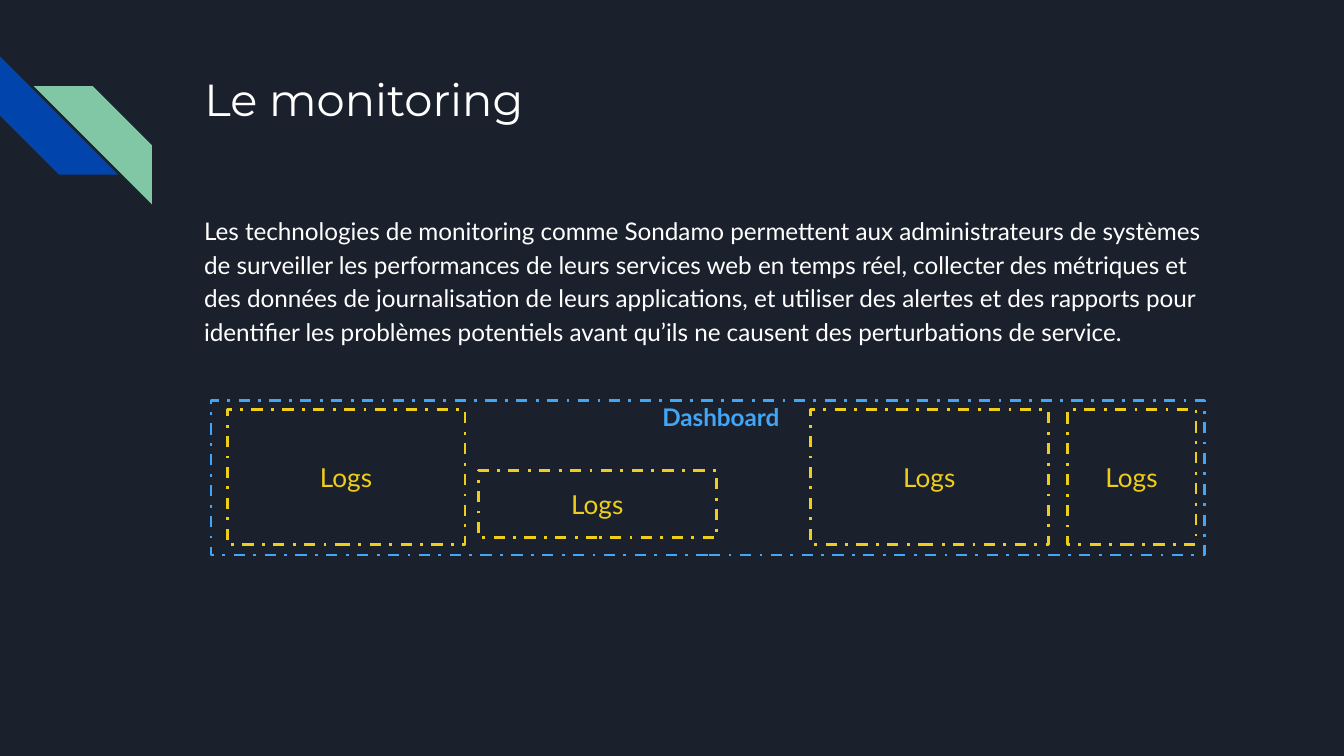
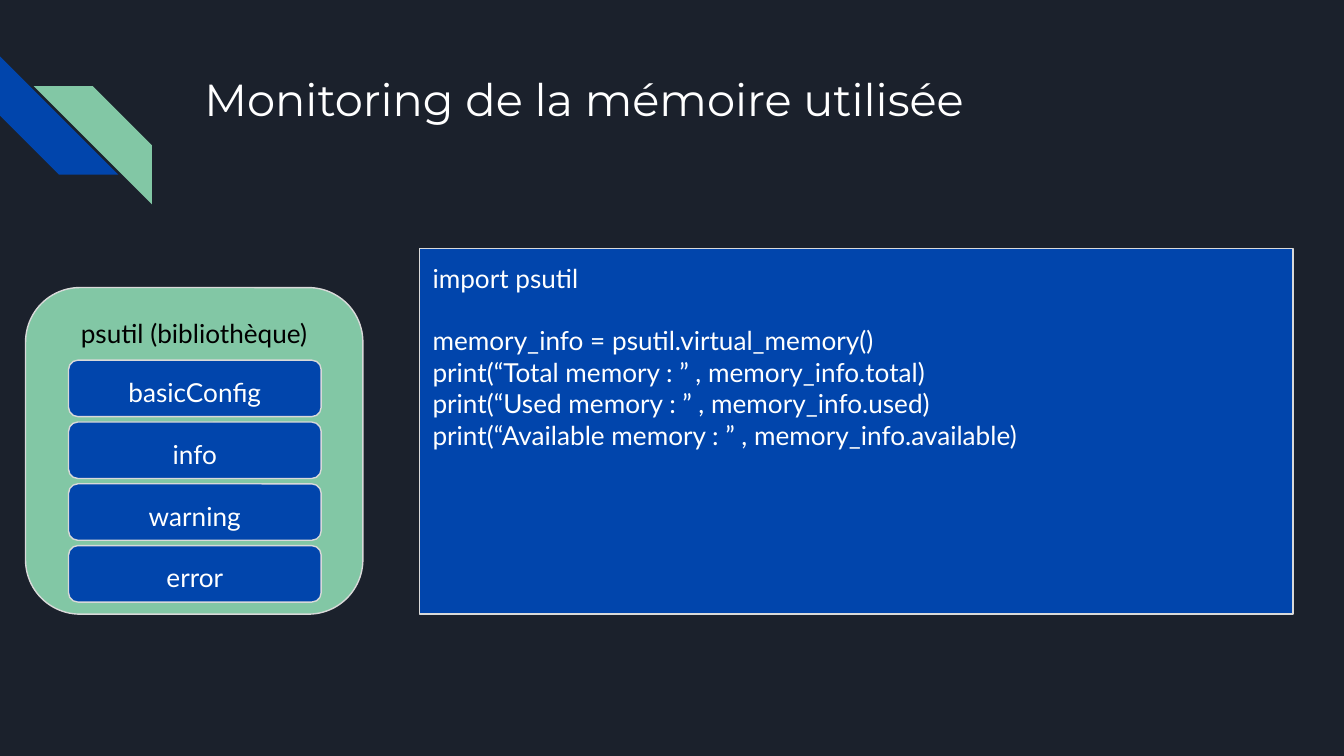
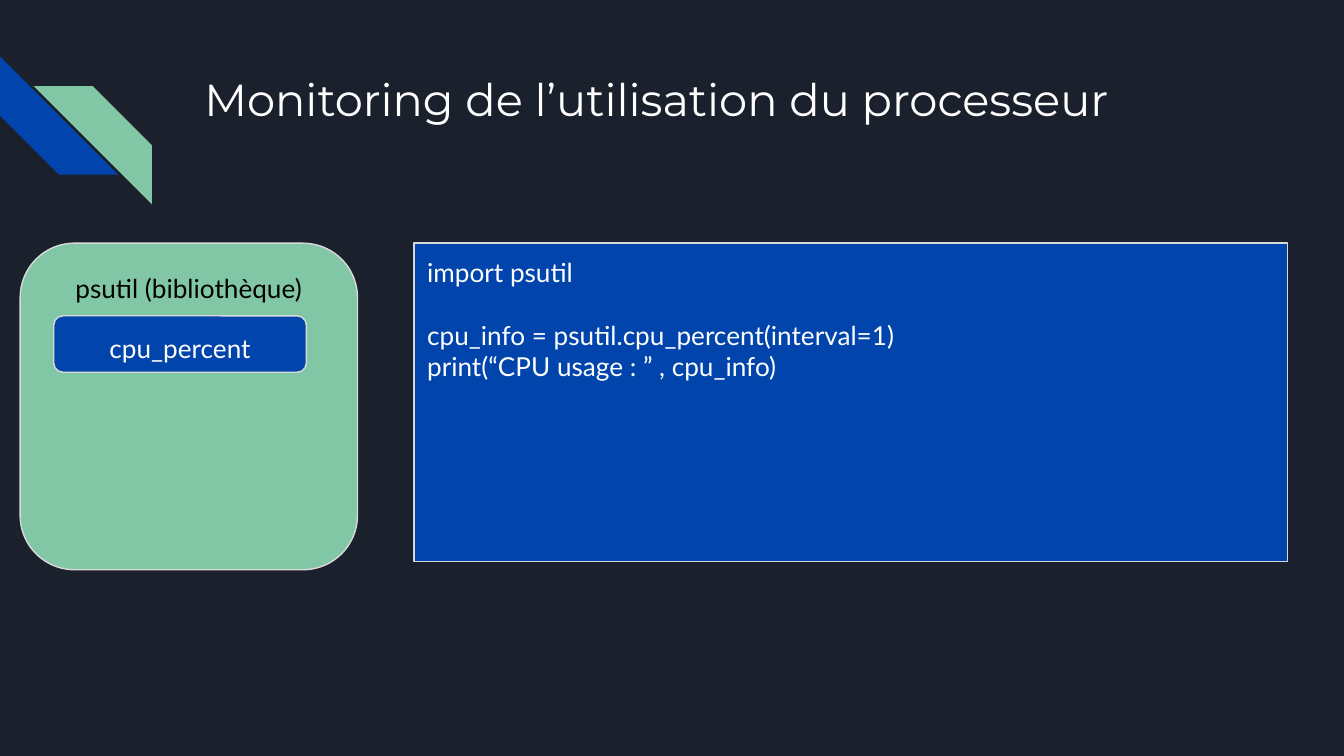
from dataclasses import dataclass

from pptx import Presentation
from pptx.dml.color import RGBColor
from pptx.enum.dml import MSO_LINE
from pptx.enum.shapes import MSO_SHAPE
from pptx.enum.text import MSO_ANCHOR, MSO_AUTO_SIZE, PP_ALIGN
from pptx.util import Inches, Pt


@dataclass(frozen=True)
class Theme:
    night: str = "1B212C"
    blue: str = "0145AC"
    green: str = "82C7A5"
    sky: str = "42A5F5"
    yellow: str = "EECE1A"
    border: str = "D9D9D9"
    white: str = "FFFFFF"
    black: str = "000000"
    heading_font: str = "Montserrat"
    text_font: str = "Lato"
    title_size: int = 24
    body_size: int = 13
    label_size: int = 14
    code_gap: float = 16.8  # one line of code at label size


THEME = Theme()


def color(code):
    return RGBColor.from_string(code)


# Text and shape helpers
def prepare_frame(frame, anchor=MSO_ANCHOR.TOP):
    frame.word_wrap = True
    frame.auto_size = MSO_AUTO_SIZE.NONE
    frame.vertical_anchor = anchor
    frame.margin_left = frame.margin_right = Inches(0.1)
    frame.margin_top = frame.margin_bottom = Inches(0.1)


def write(paragraph, text, size, ink, font=THEME.text_font, bold=False,
          align=PP_ALIGN.LEFT):
    paragraph.alignment = align
    run = paragraph.add_run()
    run.text = text
    run.font.name = font
    run.font.size = Pt(size)
    run.font.bold = bold
    run.font.color.rgb = color(ink)


def add_panel(slide, kind, box, fill=None, line=None, width=0.75, dash=None):
    panel = slide.shapes.add_shape(kind, *map(Inches, box))
    panel.shadow.inherit = False
    if fill:
        panel.fill.solid()
        panel.fill.fore_color.rgb = color(fill)
    else:
        panel.fill.background()
    if line:
        panel.line.color.rgb = color(line)
        panel.line.width = Pt(width)
        panel.line.dash_style = dash
    else:
        panel.line.fill.background()
    prepare_frame(panel.text_frame)
    return panel


def add_text(slide, box):
    frame = slide.shapes.add_textbox(*map(Inches, box)).text_frame
    prepare_frame(frame)
    return frame.paragraphs[0]


# Shared look: dark background and corner stripes, kept on the layout
def decorate_layout(layout, slide):
    layout.background.fill.solid()
    layout.background.fill.fore_color.rgb = color(THEME.night)
    blue_stripe = add_panel(slide, MSO_SHAPE.DIAGONAL_STRIPE,
                            (0, 0.42, 0.88, 0.88), THEME.blue)
    blue_stripe.rotation = 270
    green_stripe = add_panel(slide, MSO_SHAPE.DIAGONAL_STRIPE,
                             (0.25, 0.64, 0.88, 0.88), THEME.green)
    green_stripe.element.spPr.xfrm.set("flipH", "1")
    for stripe in (blue_stripe, green_stripe):
        layout.element.cSld.spTree.append(stripe.element)


def add_titled_slide(deck, layout, heading):
    slide = deck.slides.add_slide(layout)
    title = slide.shapes.title
    title.left, title.top = Inches(1.42), Inches(0.43)
    title.width, title.height = Inches(7.7), Inches(1)
    prepare_frame(title.text_frame)
    write(title.text_frame.paragraphs[0], heading, THEME.title_size,
          THEME.white, THEME.heading_font)
    return slide


# Regions
def add_introduction(slide, box, text):
    introduction = add_text(slide, box)
    introduction.line_spacing = 1.15
    introduction.space_after = Pt(12)
    write(introduction, text, THEME.body_size, THEME.white)


def add_dashboard(slide, box, log_boxes):
    left, top, _, _ = box
    add_panel(slide, MSO_SHAPE.RECTANGLE, box, line=THEME.sky, width=1.5,
              dash=MSO_LINE.DASH_DOT)
    label = add_text(slide, (left + 3.26, top - 0.09, 1.14, 0.31))
    write(label, "Dashboard", THEME.body_size, THEME.sky, bold=True)
    for dx, dy, width, height in log_boxes:
        logs = add_panel(slide, MSO_SHAPE.RECTANGLE,
                         (left + dx, top + dy, width, height),
                         line=THEME.yellow, width=1.5, dash=MSO_LINE.DASH_DOT)
        logs.text_frame.vertical_anchor = MSO_ANCHOR.MIDDLE
        write(logs.text_frame.paragraphs[0], "Logs", THEME.label_size,
              THEME.yellow, align=PP_ALIGN.CENTER)


def add_library(slide, box, name, functions, indent):
    left, top, _, _ = box
    row_pitch = 0.46
    entries = [(name, box, THEME.green, THEME.black)]
    for row, function in enumerate(functions):
        row_box = (left + indent, top + 0.54 + row * row_pitch, 1.88, 0.42)
        entries.append((function, row_box, THEME.blue, THEME.white))
    for text, entry_box, fill, ink in entries:
        entry = add_panel(slide, MSO_SHAPE.ROUNDED_RECTANGLE, entry_box,
                          fill, THEME.border)
        write(entry.text_frame.paragraphs[0], text, THEME.label_size, ink,
              align=PP_ALIGN.CENTER)


def add_code(slide, box, import_line, statements):
    frame = add_panel(slide, MSO_SHAPE.RECTANGLE, box, THEME.blue,
                      THEME.border).text_frame
    write(frame.paragraphs[0], import_line, THEME.label_size, THEME.white)
    for number, statement in enumerate(statements):
        paragraph = frame.add_paragraph()
        if number == 0:
            paragraph.space_before = Pt(THEME.code_gap)
        write(paragraph, statement, THEME.label_size, THEME.white)


def main():
    deck = Presentation()
    deck.slide_width = Inches(10)
    deck.slide_height = deck.slide_width * 9 // 16
    layout = deck.slide_layouts.get_by_name("Title Only")

    # Monitoring overview
    overview = add_titled_slide(deck, layout, "Le monitoring")
    decorate_layout(layout, overview)
    add_introduction(
        overview, (1.42, 1.48, 7.7, 1.27),
        "Les technologies de monitoring comme Sondamo permettent aux "
        "administrateurs de systèmes de surveiller les performances de leurs "
        "services web en temps réel, collecter des métriques et des données de "
        "journalisation de leurs applications, et utiliser des alertes et des "
        "rapports pour identifier les problèmes potentiels avant qu’ils ne "
        "causent des perturbations de service.")
    add_dashboard(overview, (1.57, 2.98, 7.39, 1.15), [
        (0.12, 0.07, 1.77, 1), (1.99, 0.52, 1.77, 0.5),
        (4.46, 0.07, 1.77, 1), (6.37, 0.07, 0.96, 1)])

    # Memory
    memory = add_titled_slide(deck, layout, "Monitoring de la mémoire utilisée")
    add_library(memory, (0.19, 2.14, 2.51, 2.43), "psutil (bibliothèque)",
                ["basicConfig", "info", "warning", "error"], indent=0.32)
    add_code(memory, (3.12, 1.85, 6.5, 2.72), "import psutil", [
        "memory_info = psutil.virtual_memory()",
        "print(“Total memory : ” , memory_info.total)",
        "print(“Used memory : ” , memory_info.used)",
        "print(“Available memory : ” , memory_info.available)"])

    # Processor
    processor = add_titled_slide(deck, layout,
                                 "Monitoring de l’utilisation du processeur")
    add_library(processor, (0.15, 1.81, 2.51, 2.43), "psutil (bibliothèque)",
                ["cpu_percent"], indent=0.25)
    add_code(processor, (3.08, 1.81, 6.5, 2.37), "import psutil", [
        "cpu_info = psutil.cpu_percent(interval=1)",
        "print(“CPU usage : ” , cpu_info)"])

    deck.save("out.pptx")


if __name__ == "__main__":
    main()
